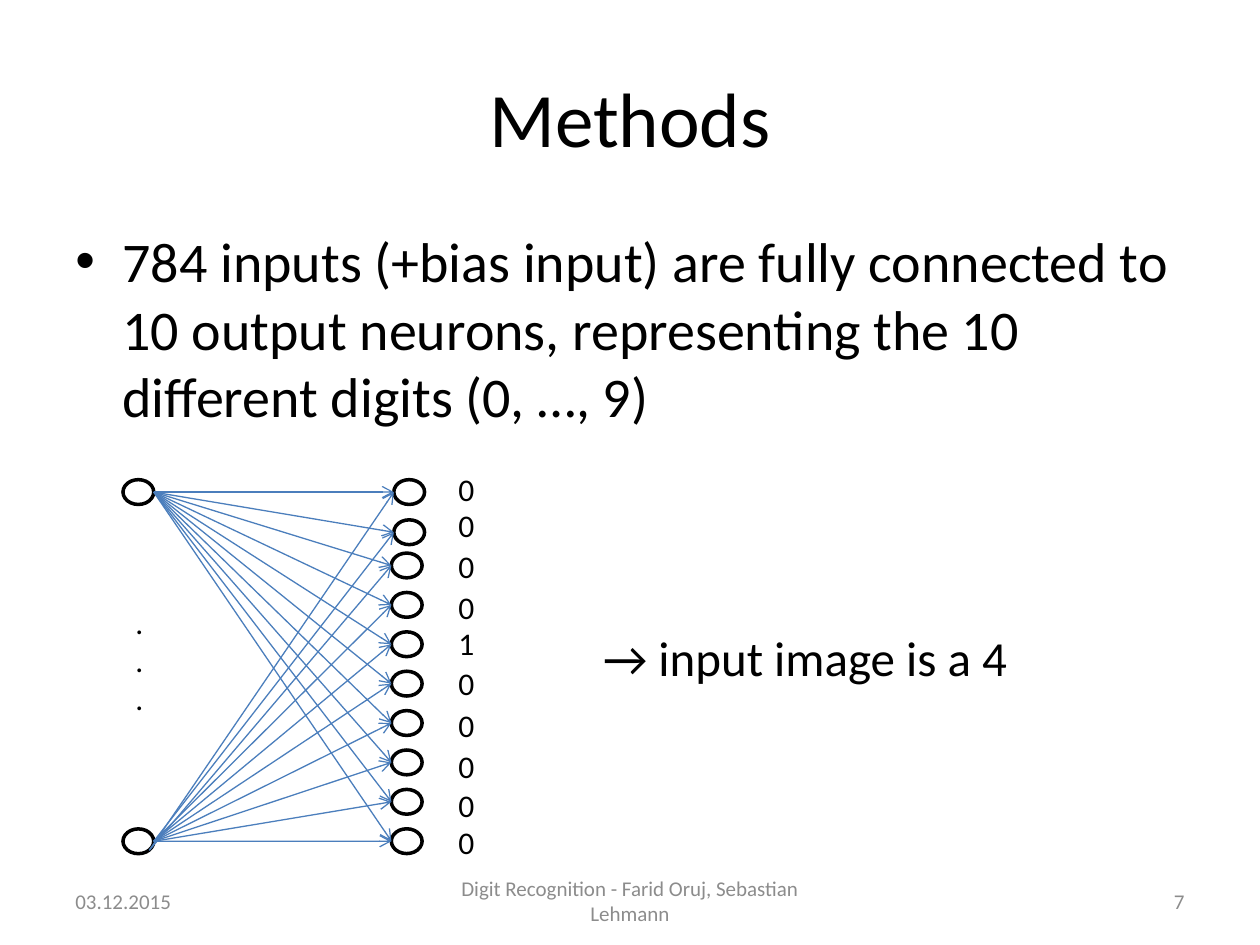
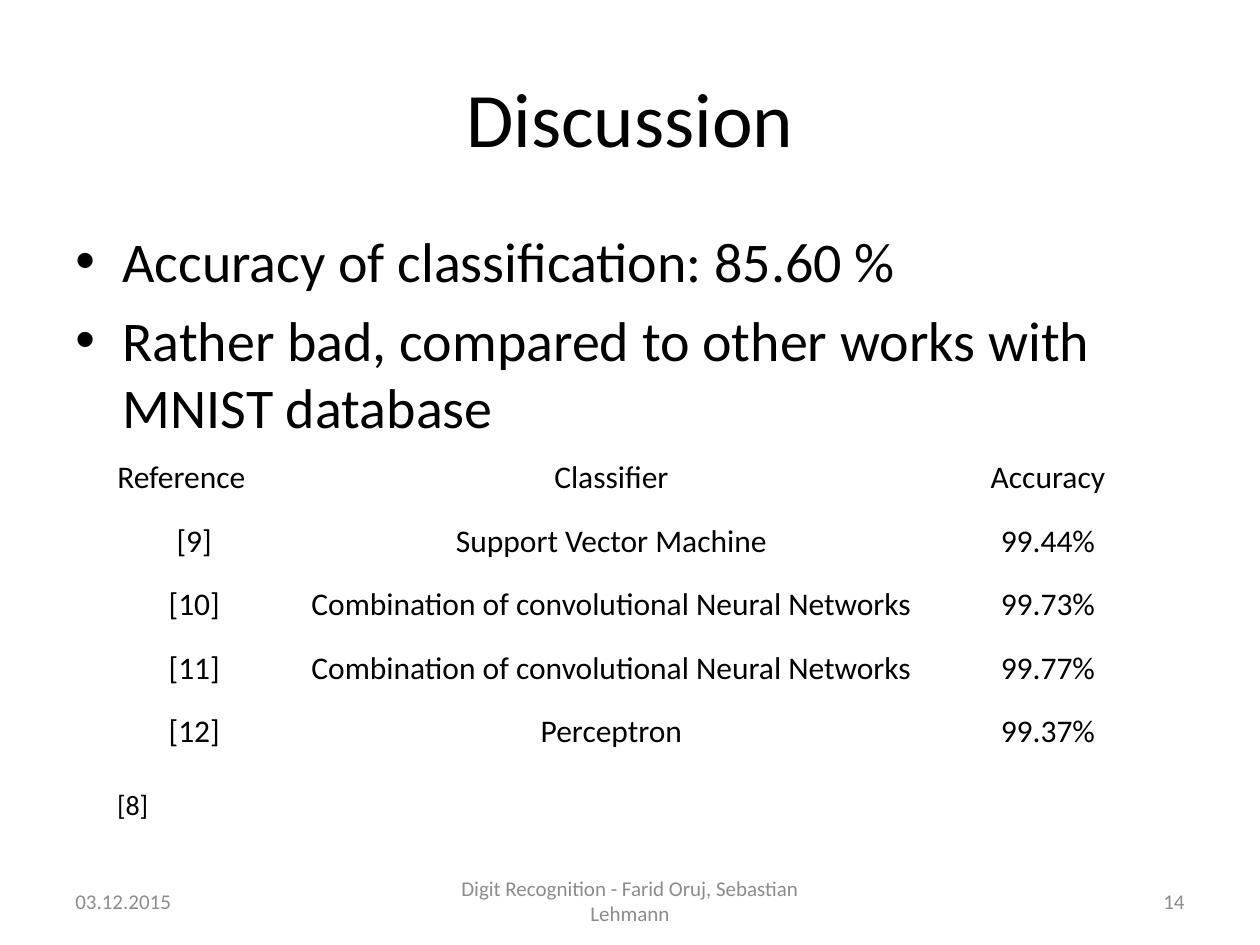
from typing import NamedTuple

from lxml import etree
from pptx import Presentation, util as u
from pptx.dml.color import RGBColor
from pptx.enum import shapes, text
from pptx.oxml.ns import qn
from pptx.slide import Slide

BLACK = RGBColor(0x00, 0x00, 0x00)
GRAY = RGBColor(0x8C, 0x8C, 0x8C)
BLUE = RGBColor(0x4B, 0x7E, 0xBC)
FONT = "Calibri"
LEFT, MID, RIGHT = text.PP_ALIGN.LEFT, text.PP_ALIGN.CENTER, text.PP_ALIGN.RIGHT


class Box(NamedTuple):
    """Left, top, width and height in centimetres."""
    x: float
    y: float
    w: float
    h: float

    def emu(self) -> list[u.Length]:
        return [u.Cm(v) for v in self]


class Node(NamedTuple):
    """A neuron, given by its left and top in centimetres."""
    x: float
    y: float

    @property
    def box(self) -> Box:
        return Box(self.x, self.y, 0.62, 0.5)

    @property
    def inlet(self) -> tuple[float, float]:
        return self.x, self.y + self.box.h / 2

    @property
    def outlet(self) -> tuple[float, float]:
        return self.x + self.box.w, self.y + self.box.h / 2

    @property
    def corner(self) -> tuple[float, float]:
        """Lower right point of the outline."""
        return self.x + 0.53, self.y + 0.43


TITLE = Box(1.27, 0.76, 22.86, 3.18)
DATE = Box(1.27, 17.65, 5.93, 1.02)
FOOT = Box(8.68, 17.65, 8.04, 1.02)
PAGE = Box(18.2, 17.65, 5.93, 1.02)

INPUTS = [Node(2.48, 9.67), Node(2.48, 16.71)]
OUTPUTS = [Node(7.94, 9.67), Node(7.94, 10.48)]
OUTPUTS += [Node(7.89, 11.15 + 0.794 * i) for i in range(8)]
CORNERED = (0, 2)  # outputs that the last input reaches from its corner
LABELS = [9.35, 10.08, 10.9, 11.73, 12.45, 13.26, 14.1, 14.94, 15.72, 16.46]
DIGIT = 4

COLS = (3.61, 13.21, 4.39)
ROW = 1.28
WORKS = [
    ("Reference", "Classifier", "Accuracy"),
    ("[9]", "Support Vector Machine", "99.44%"),
    ("[10]", "Combination of convolutional Neural Networks", "99.73%"),
    ("[11]", "Combination of convolutional Neural Networks", "99.77%"),
    ("[12]", "Perceptron", "99.37%"),
]


def style(para, words: str, size: float = 18, color: RGBColor = BLACK,
          align=LEFT) -> None:
    para.alignment = align
    run = para.add_run()
    run.text = words
    run.font.name, run.font.size = FONT, u.Pt(size)
    run.font.color.rgb = color


def bullet(para) -> None:
    """Hang a bullet before the paragraph, with 20 % space above."""
    props = para._p.get_or_add_pPr()
    props.set("marL", str(u.Cm(0.95)))
    props.set("indent", str(u.Cm(-0.95)))
    space = etree.SubElement(props, qn("a:spcBef"))
    etree.SubElement(space, qn("a:spcPct"), val="20000")
    etree.SubElement(props, qn("a:buFont"), typeface="Arial")
    etree.SubElement(props, qn("a:buChar"), char="•")


def write(slide: Slide, box: Box, words: str, anchor=text.MSO_ANCHOR.TOP,
          bullets: bool = False, **form) -> None:
    """Add a text box with one paragraph for each line of words."""
    frame = slide.shapes.add_textbox(*box.emu()).text_frame
    frame.word_wrap = True
    frame.vertical_anchor = anchor
    for i, line in enumerate(words.split("\n")):
        para = frame.add_paragraph() if i else frame.paragraphs[0]
        style(para, line, **form)
        if bullets:
            bullet(para)


def circle(slide: Slide, node: Node) -> None:
    oval = slide.shapes.add_shape(shapes.MSO_SHAPE.OVAL, *node.box.emu())
    oval.shadow.inherit = False
    oval.fill.background()
    oval.line.color.rgb = BLACK
    oval.line.width = u.Pt(2)


def arrow(slide: Slide, start: tuple[float, float],
          end: tuple[float, float]) -> None:
    ends = [u.Cm(v) for v in (*start, *end)]
    link = slide.shapes.add_connector(shapes.MSO_CONNECTOR.STRAIGHT, *ends)
    link.line.color.rgb = BLUE
    link.line.width = u.Pt(0.75)
    etree.SubElement(link.line._get_or_add_ln(), qn("a:tailEnd"), type="arrow")
    etree.SubElement(link._element.spPr, qn("a:effectLst"))


def network(slide: Slide) -> None:
    first, last = INPUTS
    for node in INPUTS + OUTPUTS:
        circle(slide, node)
    write(slide, Box(2.48, 12.04, 0.62, 3.33), ".\n.\n.")
    for i, node in enumerate(OUTPUTS):
        arrow(slide, last.corner if i in CORNERED else last.outlet, node.inlet)
        arrow(slide, first.outlet, node.inlet)
    for i, top in enumerate(LABELS):
        write(slide, Box(8.99, top, 0.91, 1.02), "1" if i == DIGIT else "0")


def grid(slide: Slide) -> None:
    box = Box(2.11, 9.12, sum(COLS), ROW * len(WORKS))
    table = slide.shapes.add_table(len(WORKS), len(COLS), *box.emu()).table
    table.first_row = table.horz_banding = False
    for col, width in zip(table.columns, COLS):
        col.width = u.Cm(width)
    for r, work in enumerate(WORKS):
        table.rows[r].height = u.Cm(ROW)
        for c, words in enumerate(work):
            cell = table.cell(r, c)
            cell.fill.background()
            style(cell.text_frame.paragraphs[0], words,
                  align=MID if r or c else LEFT)


def page(deck, title: str, body: str, depth: float, number: int) -> Slide:
    """Add a slide with its title, bullets and footer."""
    slide = deck.slides.add_slide(deck.slide_layouts[6])
    middle = text.MSO_ANCHOR.MIDDLE
    write(slide, TITLE, title, anchor=middle, size=44, align=MID)
    write(slide, Box(1.27, 4.45, 22.86, depth), body, bullets=True, size=32)
    for box, words, align in (
        (DATE, "03.12.2015", LEFT),
        (FOOT, "Digit Recognition - Farid Oruj, Sebastian Lehmann", MID),
        (PAGE, str(number), RIGHT),
    ):
        write(slide, box, words, anchor=middle, size=12, color=GRAY, align=align)
    return slide


def main() -> None:
    deck = Presentation()
    deck.slide_width, deck.slide_height = u.Cm(25.4), u.Cm(19.05)

    methods = page(
        deck, "Methods",
        "784 inputs (+bias input) are fully connected to 10 output neurons, "
        "representing the 10 different digits (0, …, 9)", 4.9, 7)
    network(methods)
    write(methods, Box(11.91, 12.52, 9.4, 1.45), "→ input image is a 4", size=28)

    talk = page(
        deck, "Discussion",
        "Accuracy of classification: 85.60 %\n"
        "Rather bad, compared to other works with MNIST database", 12.57, 14)
    grid(talk)
    write(talk, Box(2.11, 15.75, 21.21, 0.94), "[8]", size=16)

    deck.save("out.pptx")


if __name__ == "__main__":
    main()
